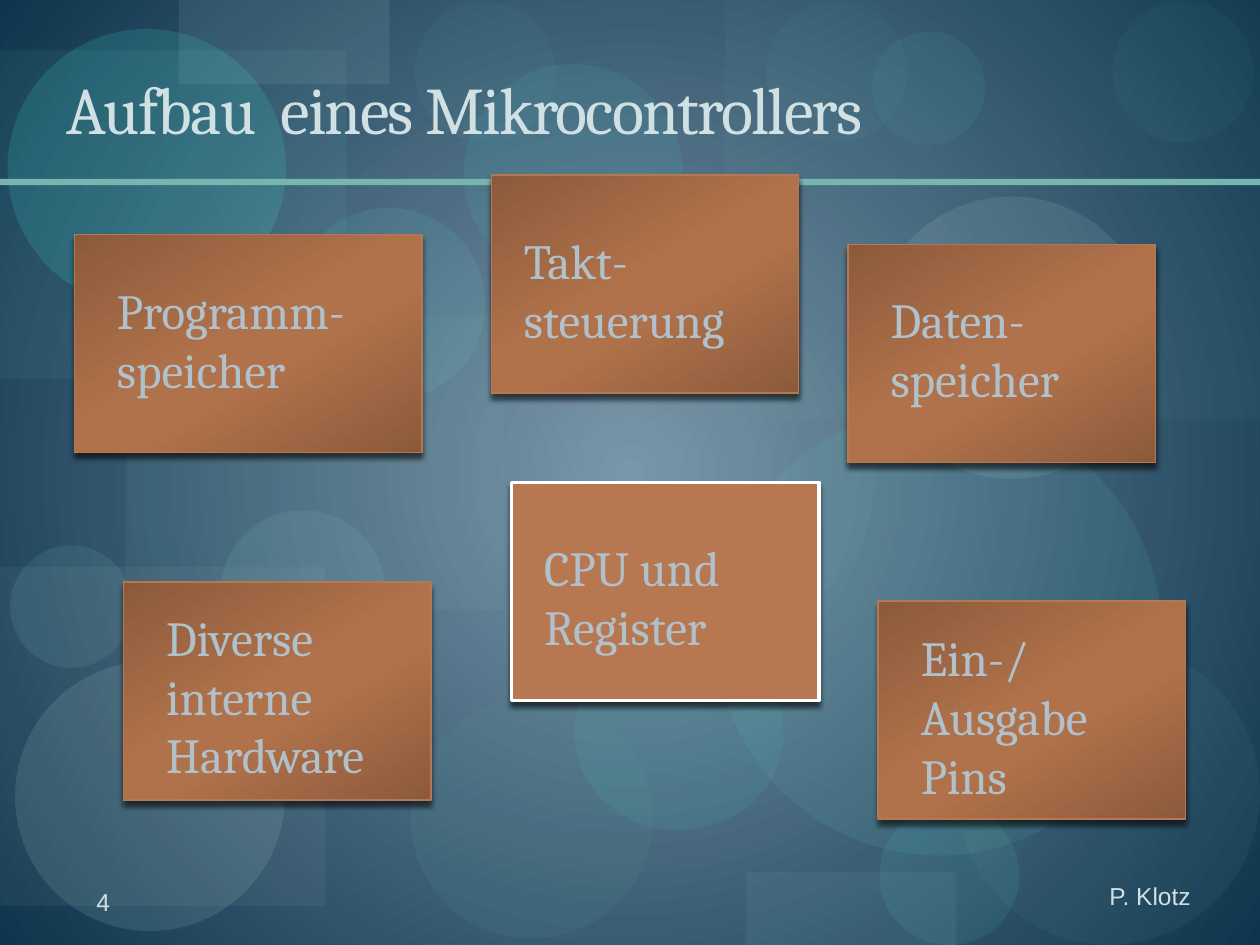
from dataclasses import dataclass

from lxml import etree
from pptx import Presentation
from pptx.dml.color import RGBColor
from pptx.enum.shapes import MSO_SHAPE
from pptx.enum.text import MSO_ANCHOR, MSO_AUTO_SIZE, PP_ALIGN
from pptx.oxml import parse_xml
from pptx.oxml.ns import nsdecls, qn
from pptx.util import Inches, Pt

RECT, OVAL = MSO_SHAPE.RECTANGLE, MSO_SHAPE.OVAL
TOP, MIDDLE, BOTTOM = MSO_ANCHOR.TOP, MSO_ANCHOR.MIDDLE, MSO_ANCHOR.BOTTOM
LEFT, CENTER, RIGHT = PP_ALIGN.LEFT, PP_ALIGN.CENTER, PP_ALIGN.RIGHT
TITLE_ONLY = 5


@dataclass(frozen=True)
class Theme:
    heading_font: str = "Cambria"
    small_font: str = "Arial"
    title_size: float = 38
    block_size: float = 28
    small_size: float = 14
    light: str = "D1E1E3"
    block_text: str = "B1C1CB"
    rule: str = "79B5B0"
    copper: str = "B77851"
    highlight: str = "FFFFFF"
    backdrop: tuple = ((0, "7B96AA"), (100, "0E354D"))
    block_stops: tuple = ((0, "8C5A3B"), (48, "B0724B"), (58, "B0724B"), (100, "8C5A3B"))


THEME = Theme()
BLOCK_HEIGHT = 1.73

# Translucent backdrop: outline, left, top, width, height, colour, opacity in percent
BACKDROP = [
    (RECT, 1, 2.51, 3, 2.33, "79B5B0", 9),
    (OVAL, 3.26, 5.55, 1.92, 1.9, "549791", 13),
    (RECT, 5.75, 0, 4.25, 3.33, "79B5B0", 6),
    (RECT, 0, 4.5, 2.58, 2.69, "B2B7BA", 8),
    (OVAL, 4.57, 2.61, 2.38, 2.38, "70A39E", 8),
    (OVAL, 6.98, 6.39, 1.11, 1.11, "65E8DC", 9),
    (OVAL, 6.91, 1.56, 2.24, 2.24, "C1E8E4", 11),
    (OVAL, 0.12, 5.25, 2.14, 2.14, "C1E8E4", 12),
    (OVAL, 2.21, 5.01, 1.12, 1.12, "65E8DC", 9),
    (OVAL, 4.56, 5.06, 1.66, 1.53, "44EADC", 8),
    (RECT, 0, 0.4, 2.75, 2.61, "77D6CE", 7),
    (RECT, 1.42, 0, 1.67, 0.67, "BED7D4", 10),
    (OVAL, 0.06, 0.23, 2.21, 2.21, "44EADC", 15),
    (OVAL, 0.08, 4.33, 0.97, 0.97, "97DCD6", 10),
    (OVAL, 2.32, 1.65, 1.53, 1.53, "65E8DC", 9),
    (OVAL, 3.68, 0.51, 1.74, 1.74, "44EADC", 8),
    (OVAL, 5.68, 3.25, 3.54, 3.54, "61CDC4", 10),
    (OVAL, 6.08, 0.01, 1.12, 1.12, "65E8DC", 4),
    (OVAL, 7.6, 5.1, 2.4, 2.4, "70A39E", 8),
    (OVAL, 1.75, 4.05, 1.31, 1.31, "97DCD6", 10),
    (OVAL, 6.92, 0.25, 0.9, 0.9, "65E8DC", 6),
    (OVAL, 8.83, 0.01, 1.12, 1.12, "65E8DC", 4),
    (RECT, 5.92, 6.92, 1.67, 0.58, "79B5B0", 10),
    (OVAL, 3.29, 0.01, 1.12, 1.12, "65E8DC", 4),
]

# Controller blocks: label, left, top, width, label offset (x, y), label height, highlighted
BLOCKS = [
    ("Diverse interne Hardware", 0.98, 4.62, 2.44, (0.24, 0.15), 1.51, False),
    ("Programm- speicher", 0.59, 1.86, 2.76, (0.24, 0.32), 1.04, False),
    ("Takt-\vsteuerung", 3.9, 1.39, 2.44, (0.16, 0.39), 1.04, False),
    ("Daten-speicher", 6.73, 1.94, 2.44, (0.24, 0.31), 1.04, False),
    ("Ein-/Ausgabe Pins", 6.97, 4.77, 2.44, (0.24, 0.16), 1.51, False),
    ("CPU und Register", 4.06, 3.83, 2.44, (0.16, 0.39), 1.04, True),
]


def set_gradient(properties, stops, direction):
    """Replace the solid fill in a properties element by a gradient."""
    stop_xml = "".join(
        f'<a:gs pos="{pos * 1000}"><a:srgbClr val="{color}"/></a:gs>' for pos, color in stops)
    gradient = parse_xml(f'<a:gradFill {nsdecls("a")} rotWithShape="1">'
                         f'<a:gsLst>{stop_xml}</a:gsLst>{direction}</a:gradFill>')
    properties.replace(properties.find(qn("a:solidFill")), gradient)


def add_panel(slide, outline, box, color):
    panel = slide.shapes.add_shape(outline, *map(Inches, box))
    panel.shadow.inherit = False
    panel.fill.solid()
    panel.fill.fore_color.rgb = RGBColor.from_string(color)
    panel.line.fill.background()
    return panel


def write_text(frame, text, font, size, color, align=LEFT, **frame_format):
    settings = {"word_wrap": True, "auto_size": MSO_AUTO_SIZE.NONE,
                "vertical_anchor": TOP, **frame_format}
    for name, value in settings.items():
        setattr(frame, name, value)
    paragraph = frame.paragraphs[0]
    paragraph.text = text
    paragraph.alignment = align
    for run in paragraph.runs:
        for name, value in {"name": font, "size": Pt(size)}.items():
            setattr(run.font, name, value)
        run.font.color.rgb = RGBColor.from_string(color)


def add_label(slide, box, text, *style, **frame_format):
    label = slide.shapes.add_textbox(*map(Inches, box))
    write_text(label.text_frame, text, *style, **frame_format)


def add_backdrop(slide):
    slide.background.fill.solid()
    set_gradient(slide.element.find(".//" + qn("p:bgPr")), THEME.backdrop,
                 '<a:path path="circle"><a:fillToRect l="50000" t="50000" '
                 'r="50000" b="50000"/></a:path>')
    for outline, *box, color, opacity in BACKDROP:
        panel = add_panel(slide, outline, box, color)
        tint = panel.element.spPr.find(qn("a:solidFill"))[0]
        etree.SubElement(tint, qn("a:alpha")).set("val", str(opacity * 1000))
    add_panel(slide, RECT, (0, 1.42, 10, 0.05), THEME.rule)


def add_title(slide, box):
    title = slide.shapes.title
    for name, value in zip(("left", "top", "width", "height"), box):
        setattr(title, name, Inches(value))
    write_text(title.text_frame, "Aufbau  eines Mikrocontrollers", THEME.heading_font,
               THEME.title_size, THEME.light, vertical_anchor=BOTTOM)
    title.text_frame.paragraphs[0].runs[0].font._element.set("spc", "-100")
    # Bring the title in front of the backdrop
    slide.shapes.element.append(title.element)


def add_block(slide, label, left, top, width, offset, label_height, highlighted):
    block = add_panel(slide, RECT, (left, top, width, BLOCK_HEIGHT), THEME.copper)
    properties = block.element.spPr
    if not highlighted:
        set_gradient(properties, THEME.block_stops, '<a:lin ang="3600000" scaled="0"/>')
    block.line.color.rgb = RGBColor.from_string(
        THEME.highlight if highlighted else THEME.copper)
    block.line.width = Pt(2 if highlighted else 0.79)
    properties.find(qn("a:effectLst")).append(parse_xml(
        f'<a:outerShdw {nsdecls("a")} blurRad="{Pt(3)}" dist="{Pt(3)}" dir="5400000" '
        'rotWithShape="0"><a:srgbClr val="000000"><a:alpha val="60000"/></a:srgbClr>'
        '</a:outerShdw>'))
    dx, dy = offset
    add_label(slide, (left + dx, top + dy, width - 0.31, label_height), label,
              THEME.heading_font, THEME.block_size, THEME.block_text,
              auto_size=MSO_AUTO_SIZE.SHAPE_TO_FIT_TEXT)


def add_footer(slide):
    style = THEME.small_font, THEME.small_size, THEME.light
    add_label(slide, (6.18, 6.9, 3.37, 0.42), "P. Klotz", *style, RIGHT,
              vertical_anchor=MIDDLE)
    no_margins = {f"margin_{side}": 0 for side in ("left", "top", "right", "bottom")}
    add_label(slide, (0.17, 6.91, 1.3, 0.5), "4", *style, CENTER,
              vertical_anchor=MIDDLE, **no_margins)


def main():
    deck = Presentation()
    deck.slide_width, deck.slide_height = Inches(10), Inches(7.5)
    slide = deck.slides.add_slide(deck.slide_layouts[TITLE_ONLY])
    add_backdrop(slide)
    add_title(slide, (0.43, 0.44, 9, 0.78))
    for block in BLOCKS:
        add_block(slide, *block)
    add_footer(slide)
    deck.save("out.pptx")


if __name__ == "__main__":
    main()
